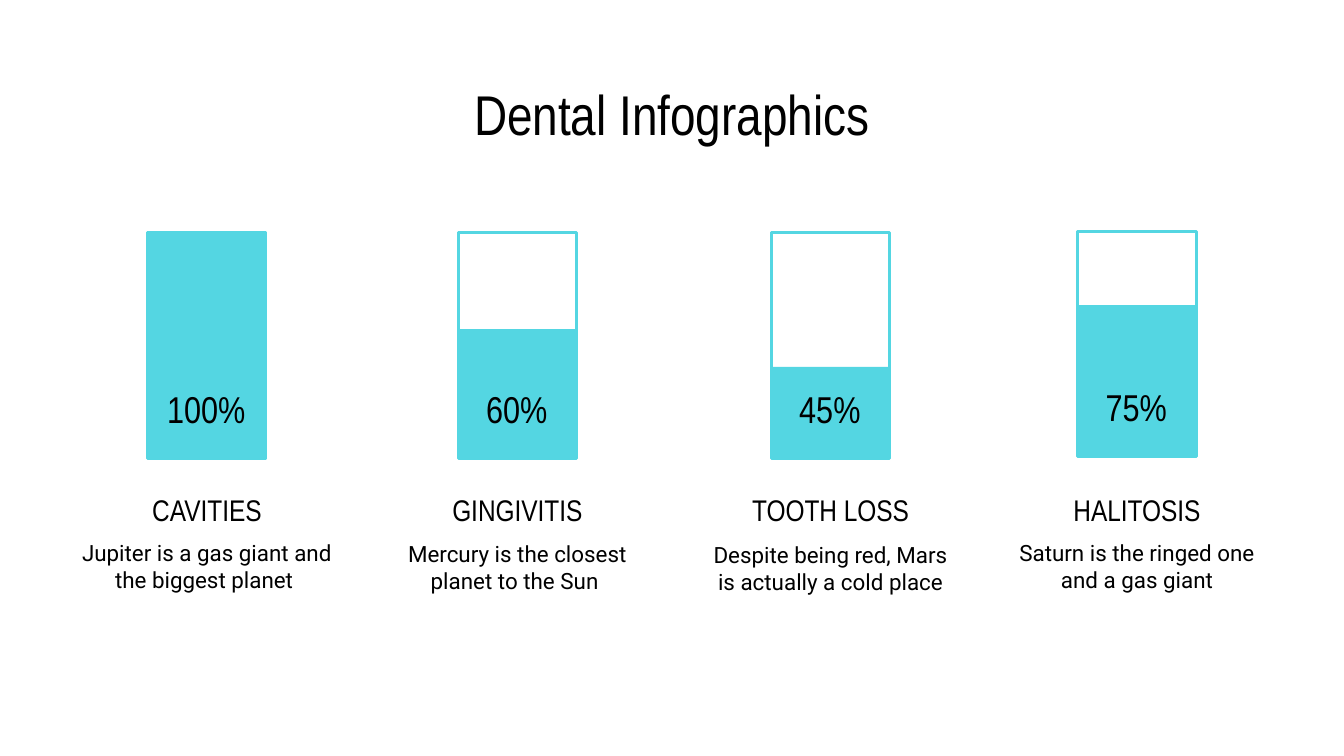
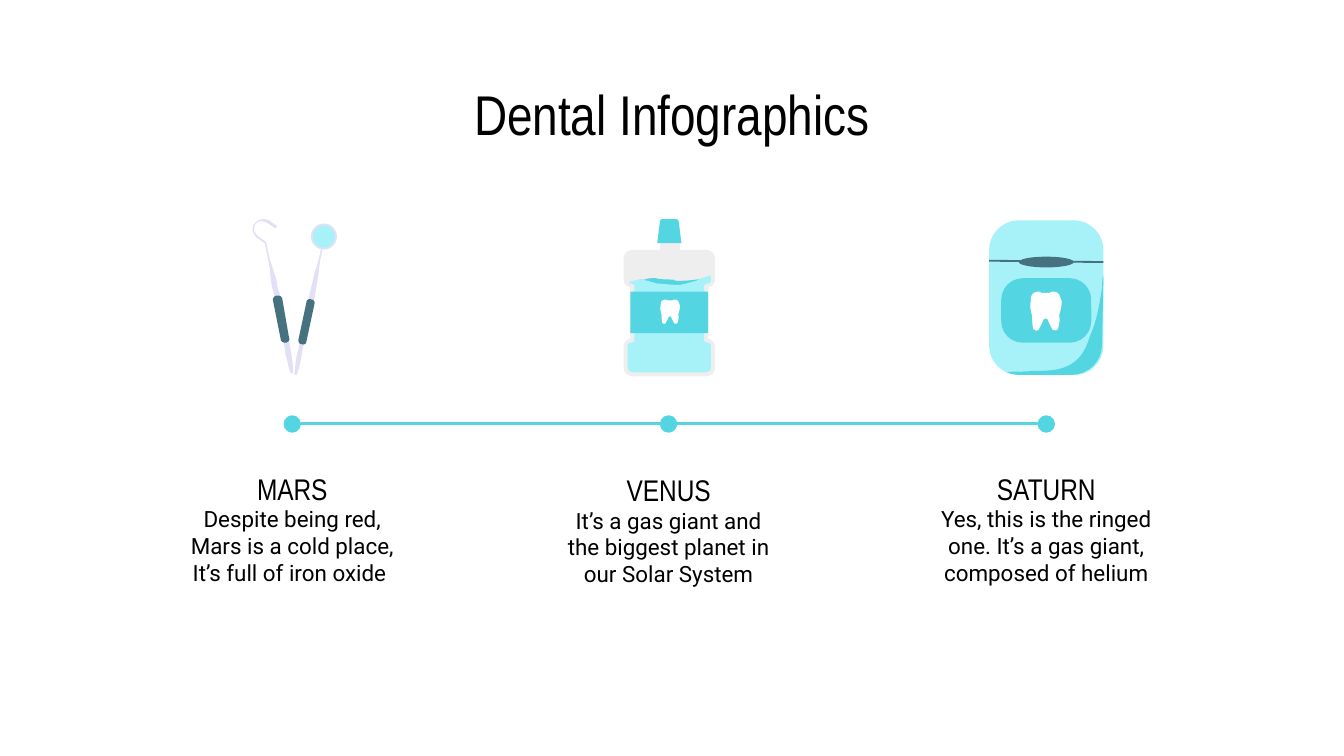
from dataclasses import dataclass

from lxml import etree
from pptx import Presentation
from pptx import util as u
from pptx.dml.color import RGBColor
from pptx.enum import shapes, text
from pptx.oxml.ns import qn

PX = 9144  # EMU in one px, 100 px to the inch
CURVE_STEPS = 8


@dataclass(frozen=True)
class Theme:
    black: str = "000000"
    white: str = "FFFFFF"
    aqua: str = "54D6E2"
    pale_aqua: str = "A7F2F8"
    slate: str = "46717F"
    lilac: str = "E3DFF5"
    grey: str = "EEEEEE"
    display_font: str = "Arial Narrow"
    body_font: str = "Roboto"
    title_size: int = 30
    percent_size: int = 20
    heading_size: int = 16
    body_size: int = 12
    line_width: float = 1.5


THEME = Theme()

# heading, body, percent, column left, bar top, fill height, body top
CONDITIONS = [
    ("CAVITIES", "Jupiter is a gas giant and the biggest planet ", "100%", 50, 173, 168, 391),
    ("GINGIVITIS", "Mercury is the closest planet to the Sun ", "60%", 281, 173, 96, 392),
    ("TOOTH LOSS", "Despite being red, Mars is actually a cold place", "45%", 514, 173, 68, 393),
    ("HALITOSIS", "Saturn is the ringed one and a gas giant", "75%", 742, 172, 113, 391),
]

# heading, body, column left, heading top
PLANETS = [
    ("MARS", "Despite being red, Mars is a cold place, It’s full of iron oxide ", 125, 336),
    ("VENUS", "It’s a gas giant and the biggest planet in our Solar System", 405, 337),
    ("SATURN", "Yes, this is the ringed one. It’s a gas giant, composed of helium", 686, 336),
]

TOOTH = (
    "M 6 0 C 5 0 3 1 2 2 C 1 4 1 5 1 7 C 0 11 1 14 2 18 C 2 21 2 25 3 28 "
    "C 4 28 4 29 5 29 C 6 29 7 28 7 28 L 10 22 C 10 21 11 20 12 20 "
    "C 13 20 14 21 14 22 C 15 24 16 26 17 28 C 18 29 20 29 21 28 "
    "C 22 25 23 21 22 18 C 23 14 24 11 24 7 C 23 5 23 4 22 2 "
    "C 21 1 20 0 18 0 C 17 0 16 0 15 1 C 14 1 13 1 12 1 C 11 1 10 1 9 1 C 8 0 7 0 6 0"
)
PROBE_ROD = (
    "M 214 269 C 214 271 215 274 216 277 C 216 278 217 278 217 278 "
    "C 218 278 218 277 218 277 C 218 271 217 265 216 259 L 208 218 "
    "C 207 215 206 213 206 210 C 205 206 204 203 203 200 L 199 188 L 201 201 "
    "C 201 207 202 213 204 219 L 212 260 C 212 263 213 266 214 269"
)
PROBE_GRIP = (
    "M 209 253 C 209 254 211 255 212 255 L 213 255 C 215 254 216 253 215 251 "
    "L 210 222 C 209 220 208 220 206 220 C 204 220 203 222 203 223 L 209 253"
)
PROBE_HOOK = (
    "M 188 172 C 189 174 190 176 191 177 L 197 181 L 205 219 L 206 218 L 198 180 "
    "L 192 176 C 191 175 190 173 189 172 C 189 170 189 169 190 167 "
    "C 192 164 196 164 199 166 L 205 170 L 206 168 L 200 164 "
    "C 196 162 192 163 189 167 C 188 168 188 170 188 172"
)
MIRROR_ROD = (
    "M 238 192 L 234 203 C 233 209 231 215 230 221 L 222 260 "
    "C 220 266 220 272 219 278 C 219 278 219 279 220 279 C 220 279 221 279 221 278 "
    "C 223 273 224 267 225 261 L 234 222 C 235 216 236 210 237 204 L 238 192"
)
MIRROR_GRIP = (
    "M 234 225 C 234 224 233 223 232 223 C 230 222 228 223 228 225 L 222 253 "
    "C 222 255 223 256 224 256 C 226 257 228 256 228 254 L 234 226 L 234 225"
)
MIRROR_STEM = "M 240 185 L 239 185 L 233 211 L 235 211 L 240 185"
BOTTLE_CAP = (
    "M 493 163 C 492 163 491 164 491 165 L 489 181 L 507 181 L 505 165 "
    "C 505 164 504 163 503 163 L 493 163"
)
BOTTLE_BODY = (
    "M 471 186 C 467 186 464 189 464 192 L 464 208 C 464 211 466 213 469 214 "
    "L 469 252 C 466 253 464 255 464 258 L 464 274 C 464 277 467 280 471 280 "
    "L 525 280 C 529 280 532 277 532 274 L 532 258 C 532 255 530 253 527 252 "
    "L 527 214 C 530 213 532 211 532 208 L 532 192 C 532 189 529 186 525 186 L 471 186"
)
BOTTLE_WAVE = (
    "M 525 207 C 519 208 512 209 505 209 C 504 209 502 209 501 208 "
    "C 497 208 492 208 488 207 C 484 207 482 207 480 208 C 478 208 475 208 473 209 "
    "C 474 210 475 210 476 210 C 477 210 479 211 480 211 C 482 213 484 214 486 215 "
    "C 490 215 493 215 497 215 L 514 213 C 516 213 519 213 521 212 C 523 211 525 209 525 207"
)
BOTTLE_LIQUID = (
    "M 529 205 C 525 206 521 207 518 209 C 513 210 509 212 504 212 "
    "C 499 212 493 211 489 211 C 485 210 480 208 475 208 C 472 209 470 209 468 210 "
    "C 468 211 469 211 470 211 L 472 212 L 472 254 L 470 255 "
    "C 468 255 467 256 467 258 L 467 273 C 467 275 469 277 471 277 L 525 277 "
    "C 527 277 529 275 529 274 L 529 258 C 529 256 528 255 526 255 L 524 254 "
    "L 524 212 L 526 211 C 528 211 529 210 529 208 L 529 205"
)
FLOSS_SHADE = (
    "M 821 205 C 820 208 820 211 820 214 C 818 227 816 239 811 250 "
    "C 809 256 807 262 802 267 C 798 271 792 274 786 275 C 780 276 774 276 768 276 "
    "C 761 277 755 276 749 277 C 752 278 755 279 759 279 L 797 279 "
    "C 810 279 820 269 820 256 L 821 205"
)


def px(*lengths):
    return [u.Emu(round(length * PX)) for length in lengths]


def rgb(color):
    return RGBColor.from_string(color)


def add_text(page, words, at, *, size, font=THEME.display_font, color=THEME.black,
             spacing=None, after=None):
    box = page.shapes.add_textbox(*px(*at))
    frame = box.text_frame
    frame.word_wrap = True
    frame.vertical_anchor = text.MSO_ANCHOR.TOP
    frame.margin_left = frame.margin_right = frame.margin_top = frame.margin_bottom = px(10)[0]
    para = frame.paragraphs[0]
    para.alignment = text.PP_ALIGN.CENTER
    if spacing:
        para.line_spacing = spacing
    if after:
        para.space_after = u.Pt(after)
    span = para.add_run()
    span.text = words
    span.font.size = u.Pt(size)
    span.font.name = font
    span.font.color.rgb = rgb(color)


def paint(shape, fill=None, line=None, width=THEME.line_width):
    shape.shadow.inherit = False
    if fill:
        shape.fill.solid()
        shape.fill.fore_color.rgb = rgb(fill)
    else:
        shape.fill.background()
    if line:
        shape.line.color.rgb = rgb(line)
        shape.line.width = u.Pt(width)
    else:
        shape.line.fill.background()


def add_preset(parent, kind, at, radius=None, **colors):
    shape = parent.shapes.add_shape(getattr(shapes.MSO_SHAPE, kind), *px(*at))
    if radius:
        shape.adjustments[0] = radius / min(at[2:])
    paint(shape, **colors)


def add_line(parent, start, end, color, width=THEME.line_width):
    line = parent.shapes.add_connector(shapes.MSO_CONNECTOR.STRAIGHT, *px(*start, *end))
    line.line.color.rgb = rgb(color)
    line.line.width = u.Pt(width)
    etree.SubElement(line._element.spPr, qn("a:effectLst"))


def trace(path):
    """Turn M, L and C commands into points, with curves cut into short lines."""
    tokens = path.split()
    points = []
    while tokens:
        count = 6 if tokens.pop(0) == "C" else 2
        values = [int(token) for token in tokens[:count]]
        del tokens[:count]
        if count == 2:
            points.append(tuple(values))
            continue
        knots = [points[-1], *zip(values[::2], values[1::2])]
        for step in range(1, CURVE_STEPS + 1):
            t = step / CURVE_STEPS
            weights = ((1 - t) ** 3, 3 * t * (1 - t) ** 2, 3 * t * t * (1 - t), t ** 3)
            points.append(tuple(sum(w * knot[axis] for w, knot in zip(weights, knots))
                                for axis in (0, 1)))
    return points


def add_outline(parent, path, fill, origin=(0, 0), scale=1):
    points = [px(origin[0] + x * scale, origin[1] + y * scale) for x, y in trace(path)]
    builder = parent.shapes.build_freeform(*points[0])
    builder.add_line_segments(points[1:], close=True)
    paint(builder.convert_to_shape(), fill=fill)


def add_page(deck):
    page = deck.slides.add_slide(deck.slide_layouts[6])
    page.background.fill.solid()
    page.background.fill.fore_color.rgb = rgb(THEME.white)
    add_text(page, "Dental Infographics", (50, 49, 900, 63), size=THEME.title_size)
    return page


def add_condition(page, heading, body, percent, left, top, filled, body_top):
    width, height = 88, 168
    bar_left = left + 60
    add_preset(page, "RECTANGLE", (bar_left, top, width, height), line=THEME.aqua)
    add_preset(page, "RECTANGLE", (bar_left, top + height - filled, width, filled),
               fill=THEME.aqua)
    add_text(page, percent, (bar_left, top + 104, 87, 60), size=THEME.percent_size)
    add_text(page, heading, (left, 356, 208, 37), size=THEME.heading_size)
    add_text(page, body, (left, body_top, 208, 60), size=THEME.body_size, font=THEME.body_font)


def add_planet(page, heading, body, left, top):
    add_text(page, body, (left, top + 30, 185, 94), size=THEME.body_size, font=THEME.body_font)
    add_text(page, heading, (left, top, 185, 45), size=THEME.heading_size,
             spacing=1.15, after=16)


def add_timeline(page):
    timeline = page.shapes.add_group_shape()
    dot = 13
    lefts = [left + 86 for _, _, left, _ in PLANETS]
    add_line(timeline, (lefts[0] + dot, 315), (lefts[-1], 315), THEME.aqua)
    for left in lefts:
        add_preset(timeline, "OVAL", (left, 309, dot, dot), fill=THEME.aqua)


def add_dental_tools(page):
    tools = page.shapes.add_group_shape()
    for path, fill in [(PROBE_ROD, THEME.lilac), (PROBE_GRIP, THEME.slate),
                       (PROBE_HOOK, THEME.lilac), (MIRROR_ROD, THEME.lilac),
                       (MIRROR_GRIP, THEME.slate), (MIRROR_STEM, THEME.lilac)]:
        add_outline(tools, path, fill)
    add_preset(tools, "OVAL", (232, 167, 18, 18), fill=THEME.pale_aqua, line=THEME.lilac, width=1)


def add_mouthwash(page):
    bottle = page.shapes.add_group_shape()
    add_preset(bottle, "RECTANGLE", (491, 176, 15, 17), fill=THEME.grey)
    for path, fill in [(BOTTLE_CAP, THEME.aqua), (BOTTLE_BODY, THEME.grey),
                       (BOTTLE_WAVE, THEME.aqua), (BOTTLE_LIQUID, THEME.pale_aqua)]:
        add_outline(bottle, path, fill)
    add_preset(bottle, "RECTANGLE", (469, 217, 58, 31), fill=THEME.aqua)
    add_outline(bottle, TOOTH, THEME.white, origin=(491, 223), scale=0.62)


def add_floss(page):
    case = page.shapes.add_group_shape()
    add_preset(case, "ROUNDED_RECTANGLE", (736, 164, 85, 115), radius=22, fill=THEME.pale_aqua)
    add_preset(case, "OVAL", (758, 191, 41, 8), fill=THEME.slate)
    add_line(case, (736, 194), (821, 195), THEME.slate, width=1)
    add_preset(case, "ROUNDED_RECTANGLE", (745, 207, 67, 48), radius=16, fill=THEME.aqua)
    add_outline(case, TOOTH, THEME.white, origin=(766, 217))
    add_outline(case, FLOSS_SHADE, THEME.aqua)


def main():
    deck = Presentation()
    deck.slide_width = px(1000)[0]
    deck.slide_height = u.Emu(deck.slide_width * 9 // 16)

    page = add_page(deck)
    for condition in CONDITIONS:
        add_condition(page, *condition)

    page = add_page(deck)
    for planet in PLANETS:
        add_planet(page, *planet)
    add_timeline(page)
    add_dental_tools(page)
    add_mouthwash(page)
    add_floss(page)

    deck.save("out.pptx")


if __name__ == "__main__":
    main()
